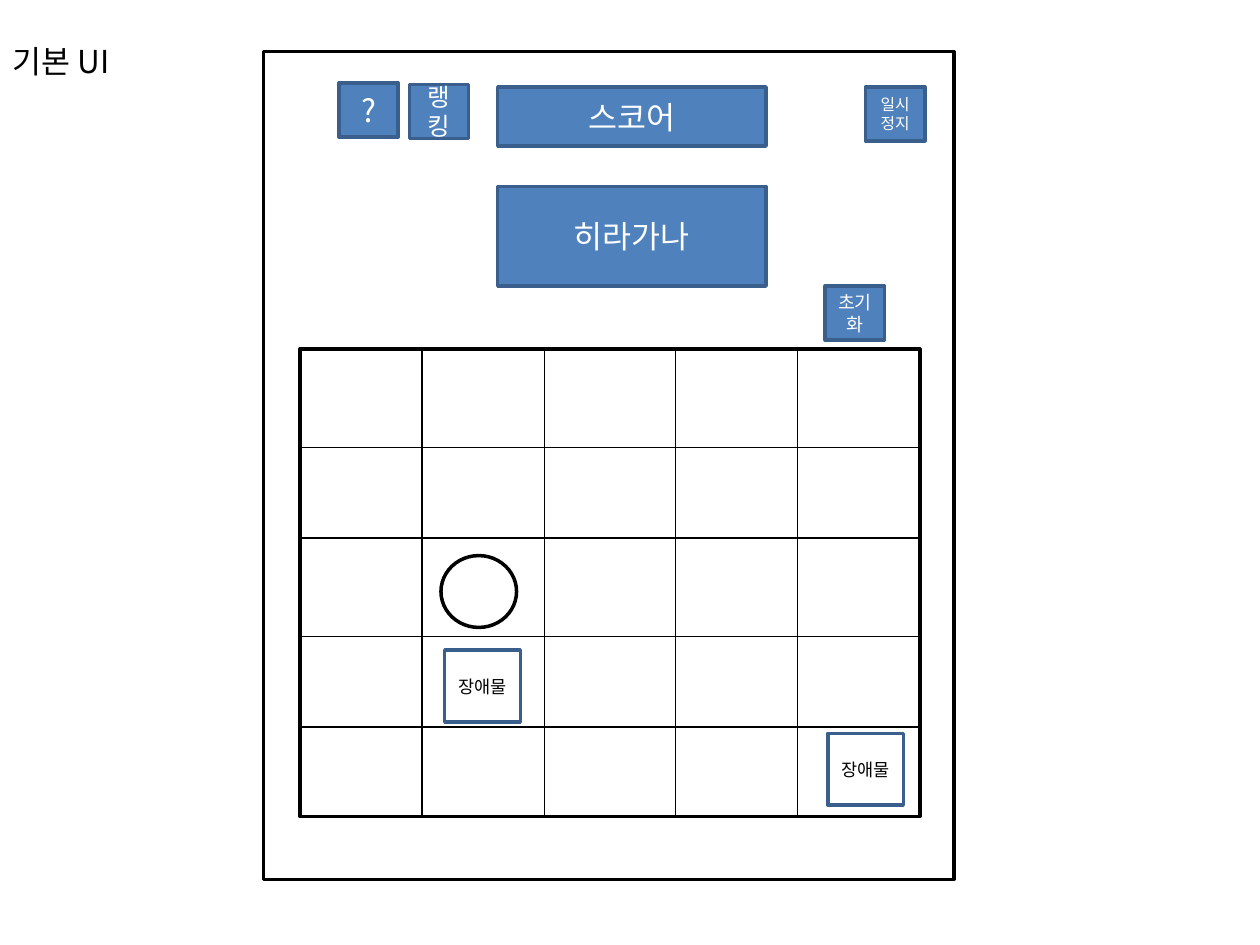
from itertools import accumulate

from lxml.etree import SubElement
from pptx import Presentation
from pptx.dml.color import RGBColor
from pptx.enum.shapes import MSO_CONNECTOR as Connector, MSO_SHAPE as Shape
from pptx.enum.text import MSO_ANCHOR as Anchor, PP_ALIGN as Align
from pptx.oxml.ns import qn
from pptx.util import Inches, Pt

COLUMNS, ROWS = 100, 75  # layout grid over the slide
BLACK, WHITE, BLUE, NAVY = "000000", "FFFFFF", "4F81BD", "3A5F8C"


def color(value):
    return RGBColor.from_string(value)


class Wireframe:
    font = "Noto Sans CJK KR"
    outline, grid_line = 2, 0.75
    frame = dict(word_wrap=True, vertical_anchor=Anchor.MIDDLE,
                 margin_left=Inches(0.09), margin_right=Inches(0.09),
                 margin_top=Inches(0.05), margin_bottom=Inches(0.05))

    def __init__(self, deck):
        self.width, self.height = deck.slide_width, deck.slide_height
        self.slide = deck.slides.add_slide(deck.slide_layouts[5])

    def x(self, column):
        return round(self.width * column / COLUMNS)

    def y(self, row):
        return round(self.height * row / ROWS)

    def place(self, column, row, columns, rows):
        return self.x(column), self.y(row), self.x(columns), self.y(rows)

    def label(self, shape, text, size, ink, align=Align.CENTER, **changes):
        for name, value in {**self.frame, **changes}.items():
            setattr(shape.text_frame, name, value)
        paragraph = shape.text_frame.paragraphs[0]
        paragraph.alignment = align
        run = paragraph.add_run()
        run.text = text
        for name, value in dict(name=self.font, size=Pt(size)).items():
            setattr(run.font, name, value)
        run.font.color.rgb = color(ink)
        SubElement(run.font._element, qn("a:ea"), typeface=self.font)

    def title(self, text, area, size=18):
        heading = self.slide.shapes.title
        sides = zip(("left", "top", "width", "height"), self.place(*area))
        for name, value in sides:
            setattr(heading, name, value)
        self.label(heading, text, size, BLACK, Align.LEFT, word_wrap=False,
                   vertical_anchor=Anchor.TOP, margin_left=Inches(0.1))

    def box(self, area, text="", size=18, ink=WHITE, fill=None, line=BLACK,
            kind=Shape.RECTANGLE):
        shape = self.slide.shapes.add_shape(kind, *self.place(*area))
        shape.shadow.inherit = False
        if fill:
            shape.fill.solid()
            shape.fill.fore_color.rgb = color(fill)
        else:
            shape.fill.background()
        shape.line.color.rgb = color(line)
        shape.line.width = Pt(self.outline)
        if text:
            self.label(shape, text, size, ink)

    def button(self, text, size, area):
        self.box(area, text, size, fill=BLUE, line=NAVY)

    def line(self, x1, y1, x2, y2):
        rule = self.slide.shapes.add_connector(
            Connector.STRAIGHT, self.x(x1), self.y(y1), self.x(x2), self.y(y2))
        rule.line.color.rgb = color(BLACK)
        rule.line.width = Pt(self.grid_line)
        SubElement(rule._element.spPr, qn("a:effectLst"))

    def board(self, left, top, widths, heights):
        xs = list(accumulate(widths, initial=left))
        ys = list(accumulate(heights, initial=top))
        self.box((left, top, sum(widths), sum(heights)))
        for row in ys[1:-1]:
            self.line(left, row, xs[-1], row)
        for column in xs[1:-1]:
            self.line(column, top, column, ys[-1])


deck = Presentation()
deck.slide_width, deck.slide_height = Inches(10), Inches(7.5)
ui = Wireframe(deck)
ui.title("기본 UI", (0, 2.8, 10.6, 4))

# Screen and game board
ui.box((20.9, 4.1, 54.8, 65.7))
ui.board(23.8, 27.7, (9.7, 9.7, 10.4, 9.7, 9.7), (7.8, 7.2, 7.8, 7.2, 7.1))

# Player and obstacles
piece = (6, 5.7)
ui.box((35, 44.1, *piece), kind=Shape.OVAL)
for obstacle in ((65.7, 58.2), (35.3, 51.6)):
    ui.box((*obstacle, *piece), "장애물", 10, BLACK, line=NAVY)

# Score and character panels
for panel, top, rows in (("스코어", 6.9, 4.7), ("히라가나", 14.8, 7.9)):
    ui.button(panel, 18, (39.5, top, 21.3, rows))

# Small buttons
for caption, size, left, top in (("?", 18, 26.9, 6.6), ("랭킹", 14, 32.5, 6.7),
                                 ("일시정지", 9, 68.7, 6.9),
                                 ("초기화", 10.5, 65.5, 22.7)):
    ui.button(caption, size, (left, top, 4.7, 4.3))

deck.save("out.pptx")
